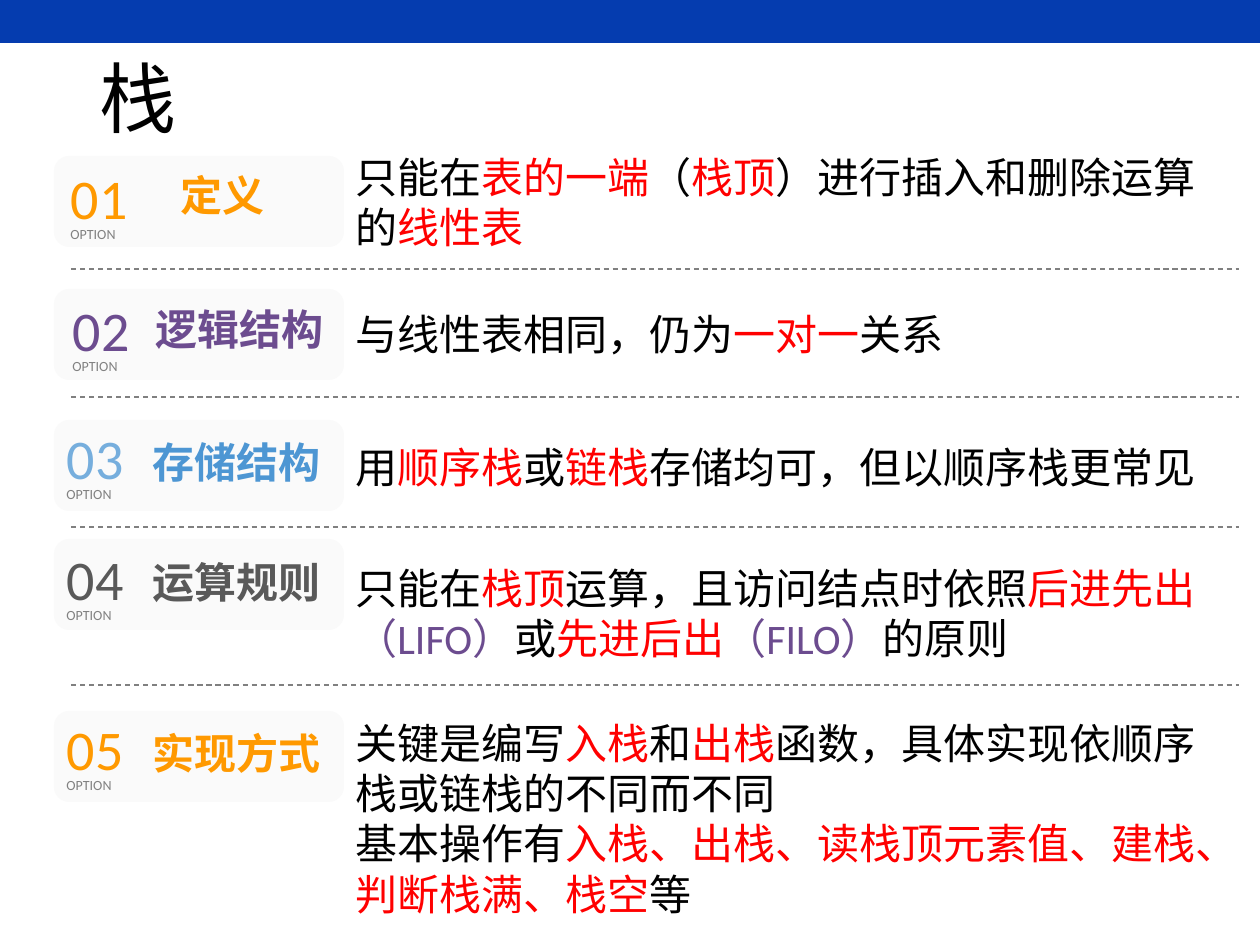
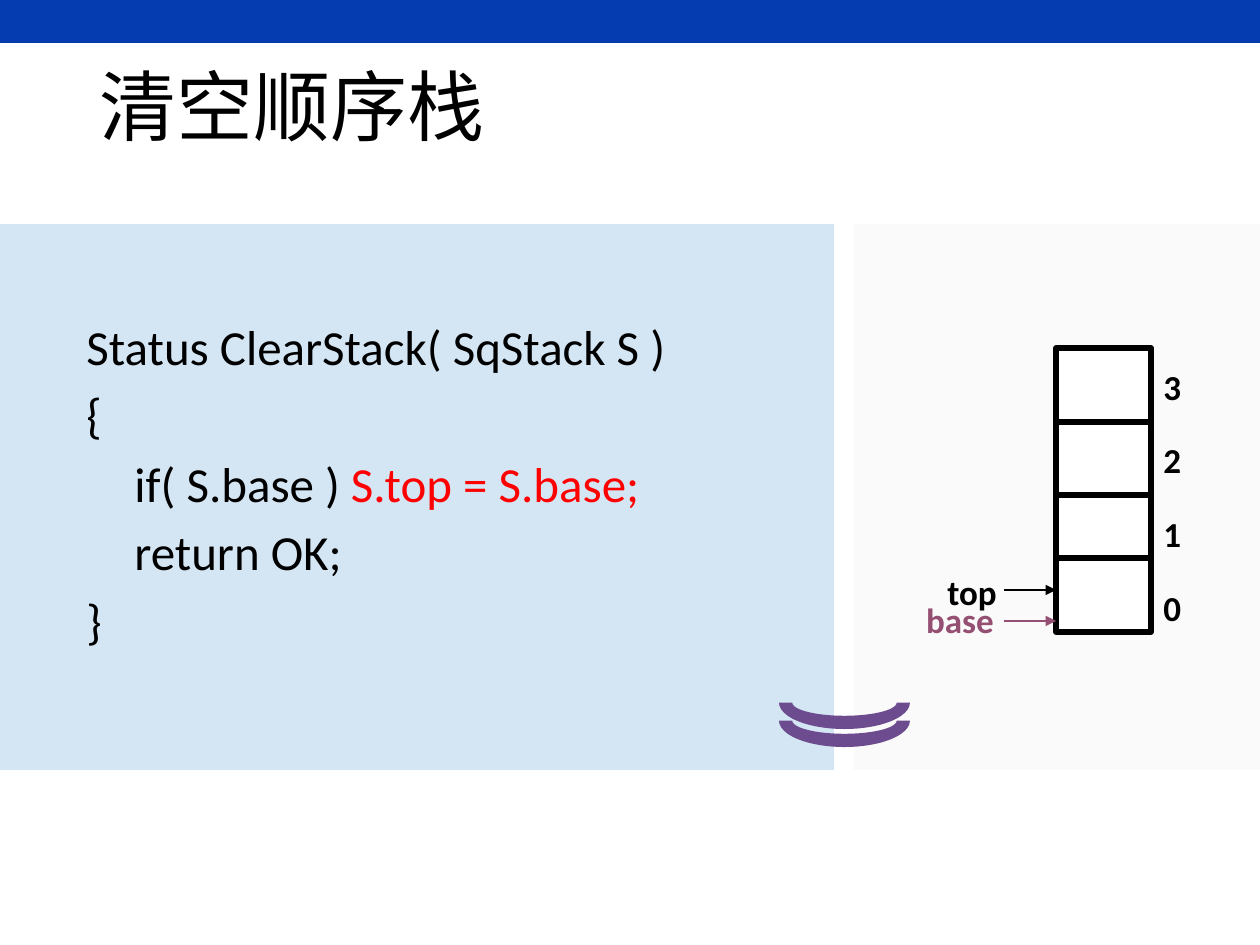
from lxml import etree
from pptx import Presentation
from pptx import util as u
from pptx.dml.color import RGBColor
from pptx.enum import dml, shapes, text
from pptx.oxml import ns

BLACK = RGBColor(0x00, 0x00, 0x00)
WHITE = RGBColor(0xFF, 0xFF, 0xFF)
BLUE = RGBColor(0x05, 0x3C, 0xAF)
RED = RGBColor(0xFF, 0x00, 0x00)
ORANGE = RGBColor(0xFF, 0x99, 0x00)
PURPLE = RGBColor(0x6C, 0x4C, 0x8F)
PLUM = RGBColor(0x95, 0x4F, 0x72)
SKY = RGBColor(0x4D, 0x96, 0xD3)
LIGHT_SKY = RGBColor(0x76, 0xAE, 0xDD)
PALE_BLUE = RGBColor(0xD4, 0xE6, 0xF4)
DARK_GRAY = RGBColor(0x59, 0x59, 0x59)
GRAY = RGBColor(0x80, 0x80, 0x80)
LABEL_GRAY = RGBColor(0x81, 0x81, 0x81)
PANEL = RGBColor(0xFA, 0xFA, 0xFA)

MARKS = {"*": RED, "#": PURPLE}
ALIGN = text.PP_ALIGN
SHAPE = shapes.MSO_SHAPE
MIDDLE = text.MSO_ANCHOR.MIDDLE
NO_INSETS = dict.fromkeys(
    ("margin_left", "margin_top", "margin_right", "margin_bottom"), 0)


def px(value):
    return u.Emu(round(value * 914400 / 126))


def apply(target, values):
    for name, value in values.items():
        setattr(target, name, value)


class Deck:
    font_name = "Calibri"

    def __init__(self):
        self.presentation = Presentation()
        apply(self.presentation,
              {"slide_width": px(1260), "slide_height": px(945)})
        self.slide = None

    def new_slide(self, title, title_height):
        layout = self.presentation.slide_layouts[5]
        self.slide = self.presentation.slides.add_slide(layout)
        self.block((0, 0, 1260, 43), BLUE)
        shape = self.slide.shapes.title
        apply(shape, {"left": px(87), "top": px(50),
                      "width": px(1086), "height": px(title_height)})
        apply(shape.text_frame, {"vertical_anchor": MIDDLE,
                                 "auto_size": text.MSO_AUTO_SIZE.NONE})
        paragraph = shape.text_frame.paragraphs[0]
        apply(paragraph, {"alignment": ALIGN.LEFT, "line_spacing": 0.9})
        self.runs(paragraph, title, 44, BLACK)

    def runs(self, paragraph, content, size, color, bold=False):
        for part in content.split("|"):
            run = paragraph.add_run()
            run.text = part[1:] if part[0] in MARKS else part
            apply(run.font, {"name": self.font_name, "size": u.Pt(size),
                             "bold": bold})
            run.font.color.rgb = MARKS.get(part[0], color)

    def label(self, box, lines, size, color=BLACK, bold=False,
              frame=None, style=None, gap=0, hanging=0):
        shape = self.slide.shapes.add_textbox(*map(px, box))
        apply(shape.text_frame, {"word_wrap": True, **(frame or {})})
        for index, line in enumerate(lines):
            if index:
                paragraph = shape.text_frame.add_paragraph()
                paragraph.space_before = u.Pt(gap)
            else:
                paragraph = shape.text_frame.paragraphs[0]
            if hanging:
                properties = paragraph._p.get_or_add_pPr()
                properties.set("marL", str(px(hanging)))
                properties.set("indent", str(-px(hanging)))
            apply(paragraph, style or {})
            self.runs(paragraph, line, size, color, bold)

    def block(self, box, fill, kind=SHAPE.RECTANGLE, outline=None, rotation=0):
        shape = self.slide.shapes.add_shape(kind, *map(px, box))
        shape.shadow.inherit = False
        shape.rotation = rotation
        shape.fill.solid()
        shape.fill.fore_color.rgb = fill
        if outline is None:
            shape.line.fill.background()
        else:
            shape.line.color.rgb = outline
            shape.line.width = u.Pt(3)

    def line(self, points, color, width, dash=None, arrow=False):
        connector = self.slide.shapes.add_connector(
            shapes.MSO_CONNECTOR.STRAIGHT, *map(px, points))
        connector.line.color.rgb = color
        apply(connector.line, {"width": u.Pt(width), "dash_style": dash})
        properties = connector._element.spPr
        if arrow:
            outline = properties.find(ns.qn("a:ln"))
            etree.SubElement(outline, ns.qn("a:tailEnd"), type="triangle")
        etree.SubElement(properties, ns.qn("a:effectLst"))


def build_stack_overview(deck):
    deck.new_slide("栈", 106)
    options = [
        (156, (71, 163), ORANGE, ORANGE, "定义", (168, 146, 152, 98),
         ALIGN.JUSTIFY, (343, 145, 885, 115),
         ["只能在|*表的一端|（|*栈顶|）进行插入和删除运算的|*线性表"]),
        (289, (73, 295), PURPLE, PURPLE, "逻辑结构", (140, 300, 199, 58),
         ALIGN.CENTER, (343, 302, 700, 59),
         ["与线性表相同，仍为|*一对一|关系"]),
        (420, (67, 423), LIGHT_SKY, SKY, "存储结构", (140, 428, 207, 68),
         ALIGN.LEFT, (343, 435, 876, 50),
         ["用|*顺序栈|或|*链栈|存储均可，但以顺序栈更常见"]),
        (539, (67, 544), DARK_GRAY, DARK_GRAY, "运算规则",
         (140, 548, 207, 68), ALIGN.LEFT, (343, 556, 876, 50),
         ["只能在|*栈顶|运算，且访问结点时依照|*后进先出|#（LIFO）|或"
          "|*先进后出|#（FILO）|的原则"]),
        (711, (67, 714), ORANGE, ORANGE, "实现方式", (140, 719, 207, 68),
         ALIGN.JUSTIFY, (343, 711, 896, 226),
         ["关键是编写|*入栈|和|*出栈|函数，具体实现依顺序栈或链栈的不同而不同",
          "基本操作有|*入栈、出栈、读栈顶元素值、建栈、判断栈满、栈空|等"]),
    ]
    for index, option in enumerate(options, 1):
        (card_top, (left, top), number_color, heading_color, heading,
         heading_box, alignment, body_box, body) = option
        deck.block((54, card_top, 290, 91), PANEL, SHAPE.ROUNDED_RECTANGLE)
        deck.label((left, top, 66, 68), [f"{index:02}"], 32, number_color,
                   frame={"vertical_anchor": MIDDLE, **NO_INSETS})
        deck.label((left - 13, top + 56, 82, 30), ["OPTION"], 8, LABEL_GRAY)
        deck.label(heading_box, [heading], 24, heading_color, True,
                   frame={"vertical_anchor": MIDDLE},
                   style={"alignment": alignment})
        deck.label(body_box, body, 24)
    for y in (269, 397, 527, 685):
        deck.line((71, y, 1239, y), GRAY, 0.75, dml.MSO_LINE.DASH)


def build_clear_stack(deck):
    deck.new_slide("清空顺序栈", 121)
    deck.block((0, 224, 834, 546), PALE_BLUE)
    deck.block((854, 224, 406, 546), PANEL)
    code = ["Status ClearStack( SqStack S )", "{",
            "\tif( S.base ) |*S.top = S.base;", "\treturn OK;", "}"]
    deck.label((74, 310, 697, 407), code, 28, gap=5.5, hanging=48)

    stack_left, stack_right = 1056, 1151
    deck.block((stack_left, 348, 95, 284), WHITE, outline=BLACK)
    for y in (422, 495, 558):
        deck.line((stack_left, y, stack_right, y), BLACK, 3)
    for row, cell in enumerate("3210"):
        deck.label((stack_right, 359 + row * 221 // 3, 42, 54), [cell], 20,
                   bold=True)
    pointers = [("base", 876, 592, 621, PLUM), ("top", 888, 564, 590, BLACK)]
    for name, left, top, arrow_y, color in pointers:
        deck.label((left, top, 168, 54), [name], 20, color, True,
                   style={"alignment": ALIGN.CENTER})
        deck.line((1004, arrow_y, stack_left, arrow_y), color, 1.5, arrow=True)
    for top in (694, 676):
        deck.block((779, top, 131, 53), PURPLE, SHAPE.BLOCK_ARC, rotation=180)


def main():
    deck = Deck()
    build_stack_overview(deck)
    build_clear_stack(deck)
    deck.presentation.save("out.pptx")


if __name__ == "__main__":
    main()
